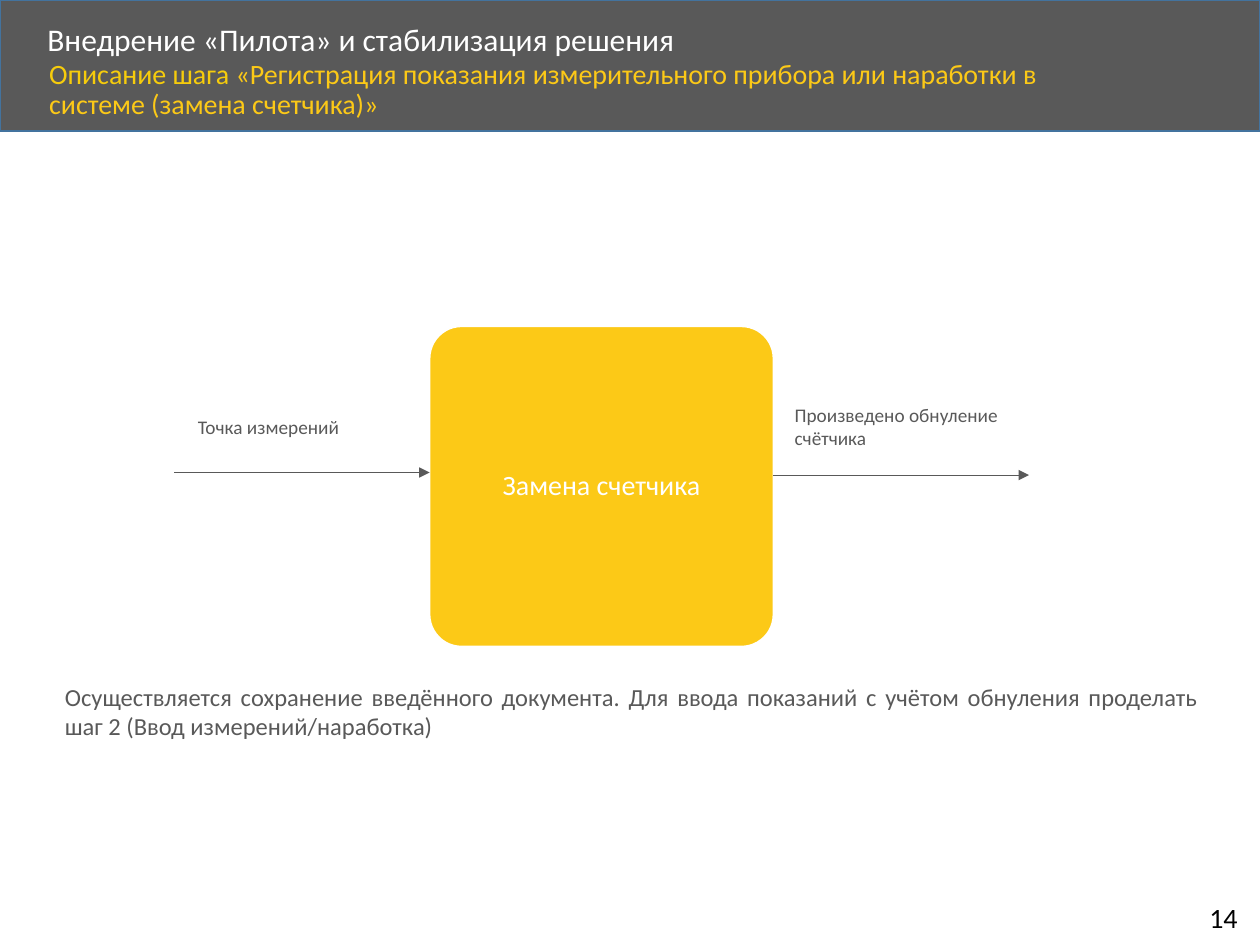
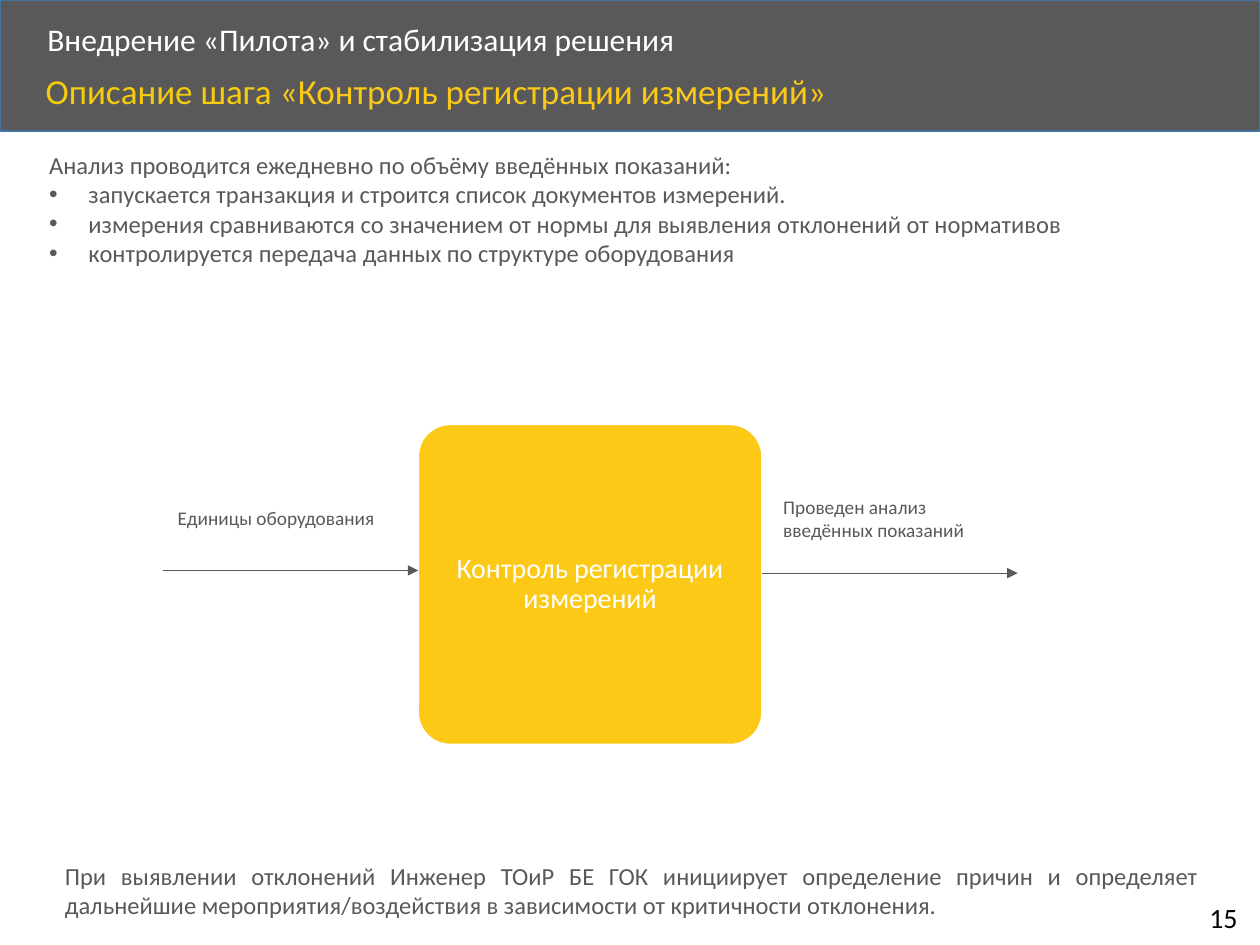
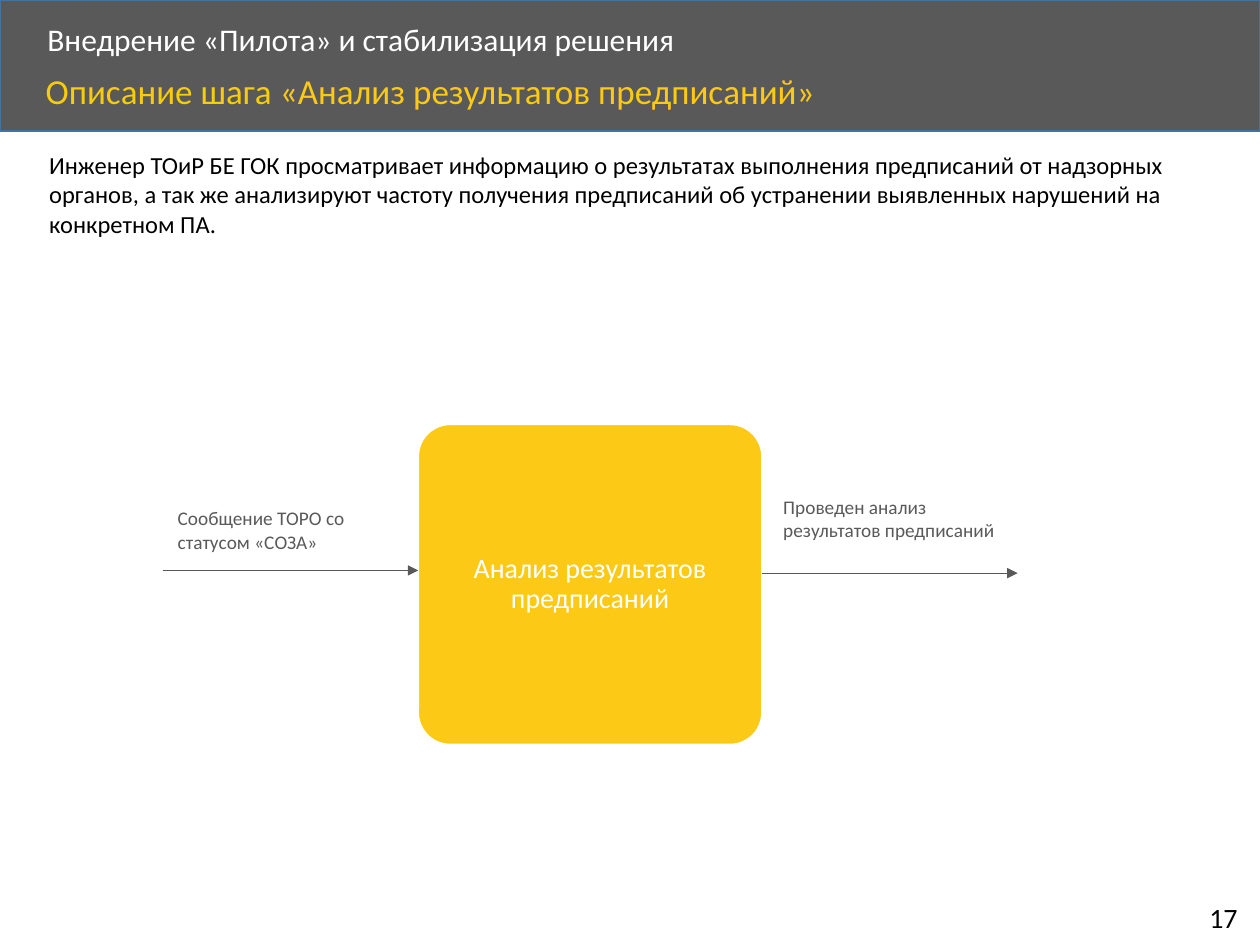
"""Builds three process-step slides with a shared header, flow diagram and page number."""
import pptx
import pptx.util
import pptx.dml.color
import pptx.enum.shapes
import pptx.enum.text
import pptx.oxml.ns
import lxml.etree

Pt = pptx.util.Pt
MSO_SHAPE = pptx.enum.shapes.MSO_SHAPE
ALIGN = pptx.enum.text.PP_ALIGN
ANCHOR = pptx.enum.text.MSO_ANCHOR
qn = pptx.oxml.ns.qn

COLORS = {
    "band": "595959",
    "band_line": "43739E",
    "text": "595959",
    "accent": "FCC917",
    "lead": "F6CC0C",
    "white": "FFFFFF",
    "black": "000000",
}


def rgb(name):
    return pptx.dml.color.RGBColor.from_string(COLORS[name])


class Deck:
    font = "Calibri"
    width, height = 720, 540
    box_w, box_h = 196.5, 183
    arrow_len = 146

    def __init__(self):
        self.prs = pptx.Presentation()
        self.prs.slide_width = Pt(self.width)
        self.prs.slide_height = Pt(self.height)
        self.s = None

    def style(self, r, size, color):
        r.font.name = self.font
        r.font.size = Pt(size)
        r.font.color.rgb = rgb(color)

    def slide(self, number):
        self.s = self.prs.slides.add_slide(self.prs.slide_layouts[6])
        self.shape(MSO_SHAPE.RECTANGLE, 0, 0, self.width, 75, "band", "band_line")
        tf = self.text("Внедрение «Пилота» и стабилизация решения",
                       20, 10, 581, 27.5, 18, "white", spacing=0.9)
        tf.vertical_anchor = ANCHOR.MIDDLE
        tf = self.text(str(number), 684, 511, 33, 26.5, 16, "black")
        tf.word_wrap = False

    def shape(self, kind, x, y, w, h, fill, line):
        sp = self.s.shapes.add_shape(kind, Pt(x), Pt(y), Pt(w), Pt(h))
        sp.shadow.inherit = False
        sp.fill.solid()
        sp.fill.fore_color.rgb = rgb(fill)
        sp.line.color.rgb = rgb(line)
        sp.line.width = Pt(1)
        return sp

    def text(self, text, x, y, w, h, size, color="text", align=ALIGN.LEFT, spacing=None):
        sp = self.s.shapes.add_textbox(Pt(x), Pt(y), Pt(w), Pt(h))
        tf = sp.text_frame
        tf.word_wrap = True
        tf.text = text
        for p in tf.paragraphs:
            p.alignment = align
            p.line_spacing = spacing
            for r in p.runs:
                self.style(r, size, color)
        return tf

    def subtitle(self, step, x, y, size):
        tf = self.text("Описание шага ", x, y, 624, 32.5, size, "lead", spacing=0.9)
        r = tf.paragraphs[0].add_run()
        r.text = f"«{step}»"
        self.style(r, size, "accent")

    def body(self, text, y, h, color="text"):
        return self.text(text, 21, y, 681, h, 14, color)

    def note(self, text, y):
        self.text(text, 30, y, 662, 41, 14, align=ALIGN.JUSTIFY)

    def bullets(self, paragraphs):
        for p in paragraphs:
            pPr = p._p.get_or_add_pPr()
            pPr.set("marL", str(Pt(22.5)))
            pPr.set("indent", str(-Pt(22.5)))
            lxml.etree.SubElement(pPr, qn("a:buFont"), typeface="Arial")
            lxml.etree.SubElement(pPr, qn("a:buChar"), char="•")

    def arrow(self, x, y):
        c = self.s.shapes.add_connector(
            pptx.enum.shapes.MSO_CONNECTOR.STRAIGHT,
            Pt(x), Pt(y), Pt(x + self.arrow_len), Pt(y))
        c.line.color.rgb = rgb("text")
        c.line.width = Pt(0.5)
        lxml.etree.SubElement(c.line._get_or_add_ln(), qn("a:tailEnd"), type="triangle")
        lxml.etree.SubElement(c._element.spPr, qn("a:effectLst"))

    def flow(self, step, source, result, x=239, y=242.5, source_dx=-144.5, label_dy=37):
        sp = self.shape(MSO_SHAPE.ROUNDED_RECTANGLE, x, y, self.box_w, self.box_h,
                        "accent", "white")
        sp.adjustments[0] = 0.1
        tf = sp.text_frame
        tf.word_wrap = True
        tf.margin_left = tf.margin_right = Pt(5)
        tf.vertical_anchor = ANCHOR.MIDDLE
        tf.text = step
        p = tf.paragraphs[0]
        p.alignment = ALIGN.CENTER
        p.line_spacing = 0.9
        self.style(p.runs[0], 16, "white")
        self.arrow(x - self.arrow_len, y + 83.5)
        self.arrow(x + self.box_w, y + 85)
        self.text(source, x + source_dx, y + label_dy + 6.5, 144, 21, 11)
        self.text(result, x + 201.5, y + label_dy, 144, 34, 11)


def main():
    d = Deck()

    d.slide(14)
    d.subtitle("Регистрация показания измерительного прибора или наработки в системе "
               "(замена счетчика)", 21, 31, 16)
    d.flow("Замена счетчика", "Точка измерений", "Произведено обнуление счётчика",
           x=245.5, y=186.5, source_dx=-139.5, label_dy=40.5)
    d.note("Осуществляется сохранение введённого документа. Для ввода показаний с учётом "
           "обнуления проделать шаг 2 (Ввод измерений/наработка)", 386)

    d.slide(15)
    d.subtitle("Контроль регистрации измерений", 19, 39, 20)
    d.flow("Контроль регистрации измерений", "Единицы оборудования",
           "Проведен анализ введённых показаний")
    d.note("При выявлении отклонений Инженер ТОиР БЕ ГОК инициирует определение причин и "
           "определяет дальнейшие мероприятия/воздействия в зависимости от критичности "
           "отклонения.", 488.5)
    tf = d.body("Анализ проводится ежедневно по объёму введённых показаний:\n"
                "запускается транзакция и строится список документов измерений.\n"
                "измерения сравниваются со значением от нормы для выявления отклонений "
                "от нормативов\n"
                "контролируется передача данных по структуре оборудования", 82, 75)
    d.bullets(tf.paragraphs[1:])

    d.slide(17)
    d.subtitle("Анализ результатов предписаний", 19, 39, 20)
    d.flow("Анализ результатов предписаний", "Сообщение ТОРО со статусом «СОЗА»",
           "Проведен анализ результатов предписаний")
    d.body("Инженер ТОиР БЕ ГОК просматривает информацию о результатах выполнения "
           "предписаний от надзорных органов, а так же анализируют частоту получения "
           "предписаний об устранении выявленных нарушений на конкретном ПА.",
           82, 58, "black")

    d.prs.save("out.pptx")


if __name__ == "__main__":
    main()
